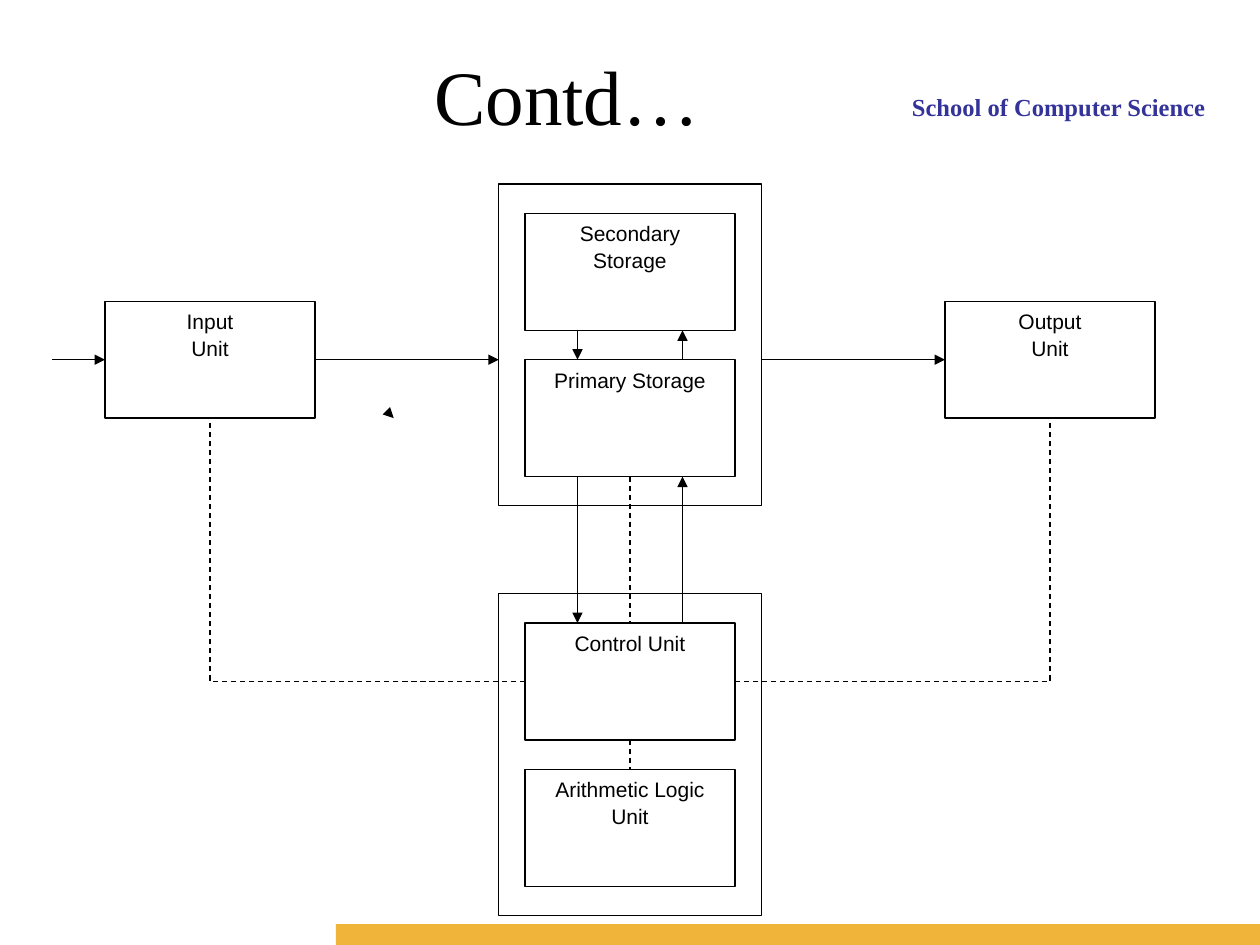
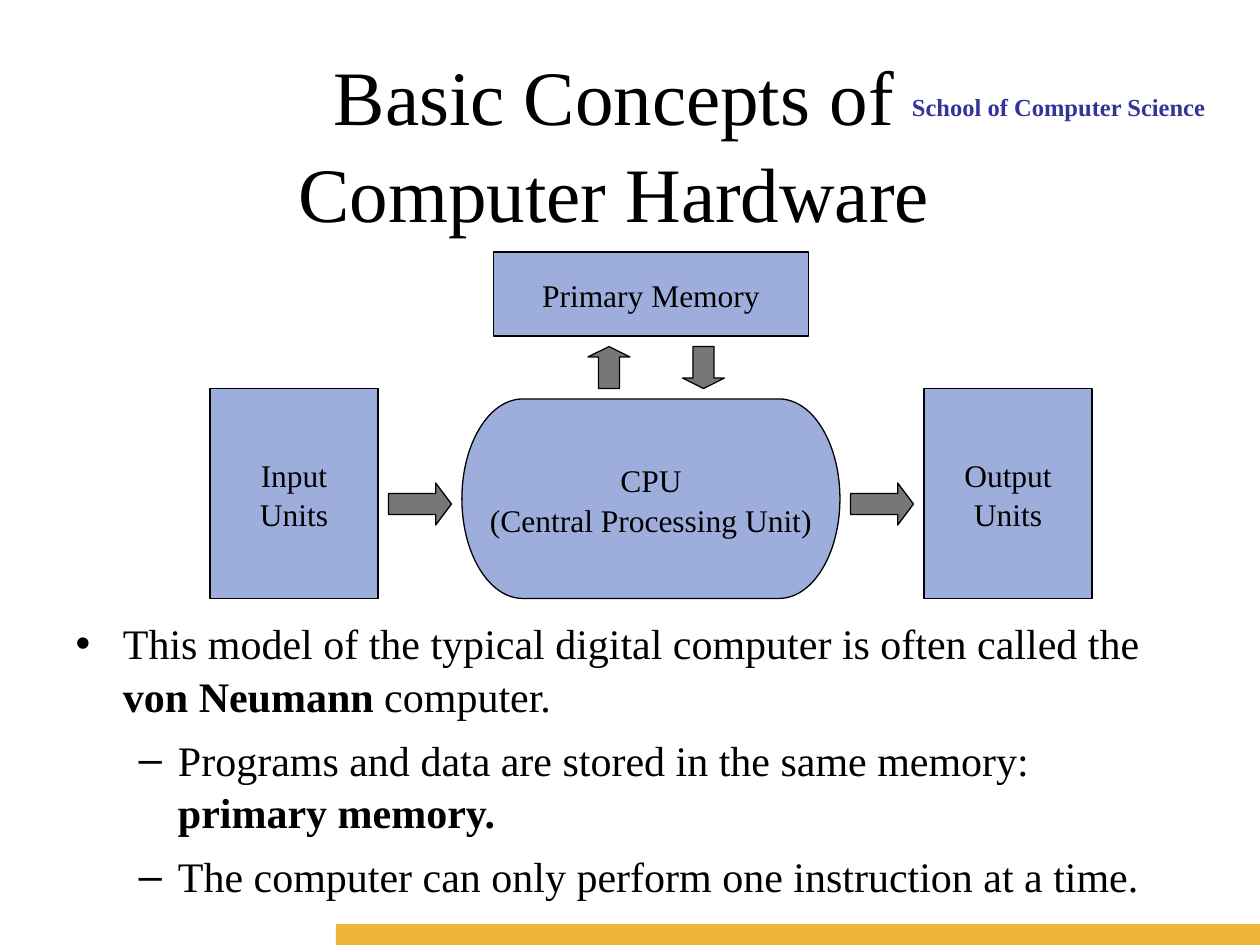
from dataclasses import dataclass
from typing import NamedTuple

from lxml.etree import SubElement
from pptx import Presentation
from pptx.dml.color import RGBColor
from pptx.enum.dml import MSO_LINE
from pptx.enum.shapes import MSO_CONNECTOR as Connector, MSO_SHAPE as Preset
from pptx.enum.text import MSO_ANCHOR as Anchor, MSO_AUTO_SIZE as AutoSize, PP_ALIGN as Align
from pptx.oxml.ns import qn
from pptx.util import Pt


@dataclass(frozen=True)
class Theme:
    black: RGBColor = RGBColor.from_string("000000")
    white: RGBColor = RGBColor.from_string("FFFFFF")
    navy: RGBColor = RGBColor.from_string("333399")
    amber: RGBColor = RGBColor.from_string("F1B43B")
    periwinkle: RGBColor = RGBColor.from_string("9EAEDC")
    gray: RGBColor = RGBColor.from_string("777777")
    serif: str = "Times New Roman"
    sans: str = "Arial"
    title_size: int = 44
    body_size: int = 24
    block_size: int = 18
    header_size: int = 14
    unit_size: int = 12
    line_width: float = 0.75
    line_spacing: float = 1.05


THEME = Theme()


class Box(NamedTuple):
    left: float
    top: float
    width: float
    height: float

    def lengths(self):
        return [Pt(value) for value in self]


class Grid(NamedTuple):
    left: float
    top: float
    column: float
    row: float

    def point(self, x, y):
        return self.left + x * self.column, self.top + y * self.row

    def box(self, x, y, width, height):
        return Box(*self.point(x, y), width * self.column, height * self.row)


def format_paragraph(paragraph, size, name=THEME.serif, color=THEME.black, align=Align.CENTER):
    paragraph.alignment = align
    paragraph.line_spacing = THEME.line_spacing
    font = paragraph.font
    font.size, font.name = Pt(size), name
    font.color.rgb = color


def add_block(slide, box, fill, preset=Preset.RECTANGLE, outlined=True):
    shape = slide.shapes.add_shape(preset, *box.lengths())
    shape.shadow.inherit = False
    shape.fill.solid()
    shape.fill.fore_color.rgb = fill
    if outlined:
        shape.line.color.rgb = THEME.black
        shape.line.width = Pt(THEME.line_width)
    else:
        shape.line.fill.background()
    return shape


def write_label(shape, text, size, name, anchor, wrap):
    frame = shape.text_frame
    frame.text = text
    frame.vertical_anchor = anchor
    frame.word_wrap = wrap
    for paragraph in frame.paragraphs:
        format_paragraph(paragraph, size, name)


def add_line(slide, start, end, arrow=False, kind=Connector.STRAIGHT):
    line = slide.shapes.add_connector(kind, *[Pt(value) for value in (*start, *end)])
    line.line.color.rgb = THEME.black
    line.line.width = Pt(THEME.line_width)
    properties = line.element.spPr
    if arrow:
        SubElement(properties.find(qn("a:ln")), qn("a:tailEnd"), type="triangle")
    else:
        line.line.dash_style = MSO_LINE.DASH
    SubElement(properties, qn("a:effectLst"))
    return line


def add_elbow(slide, source, source_site, target, target_site):
    elbow = add_line(slide, (0, 0), (0, 0), kind=Connector.ELBOW)
    elbow.begin_connect(source, source_site)
    elbow.end_connect(target, target_site)
    elbow.element.spPr.find(qn("a:prstGeom")).set("prst", "bentConnector2")


def add_master_band(presentation, slide):
    header = slide.shapes.add_textbox(*Box(486, 48, 210, 24).lengths())
    header.text_frame.word_wrap = True
    paragraph = header.text_frame.paragraphs[0]
    paragraph.text = "School of Computer Science"
    format_paragraph(paragraph, THEME.header_size, color=THEME.navy, align=Align.RIGHT)
    paragraph.font.bold = True
    band = add_block(slide, Box(192, 528, 528, 12), THEME.amber, outlined=False)
    for number, shape in enumerate((header, band), 101):
        shape.element.xpath(".//p:cNvPr")[0].set("id", str(number))
        presentation.slide_master.shapes.element.append(shape.element)


def place_placeholder(placeholder, box):
    placeholder.left, placeholder.top, placeholder.width, placeholder.height = box.lengths()
    frame = placeholder.text_frame
    frame.auto_size = AutoSize.NONE
    frame.word_wrap = True
    frame.vertical_anchor = Anchor.TOP
    return frame


def fill_title(slide, text, box):
    frame = place_placeholder(slide.shapes.title, box)
    frame.text = text
    format_paragraph(frame.paragraphs[0], THEME.title_size)


def fill_body(slide, items, box):
    levels = [("•", 27, 27), ("–", 58.5, 22.5)]
    frame = place_placeholder(slide.placeholders[1], box)
    for index, (level, runs) in enumerate(items):
        paragraph = frame.add_paragraph() if index else frame.paragraphs[0]
        mark, margin, hanging = levels[level]
        paragraph.level = level
        paragraph.space_before = Pt(6 if index else 0)
        paragraph.line_spacing = THEME.line_spacing
        properties = paragraph._p.get_or_add_pPr()
        properties.set("marL", str(Pt(margin)))
        properties.set("indent", str(-Pt(hanging)))
        SubElement(properties, qn("a:buChar"), char=mark)
        format_paragraph(paragraph, THEME.body_size, align=Align.LEFT)
        for text, bold in runs:
            run = paragraph.add_run()
            run.text = text
            run.font.bold = bold


def draw_architecture(slide, box):
    grid = Grid(box.left, box.top, box.width / 42, box.height / 25)
    for top in (0, 14):
        add_block(slide, grid.box(17, top, 10, 11), THEME.white)

    units = {}
    for text, x, y in [
        ("Secondary\nStorage", 18, 1),
        ("Primary Storage", 18, 6),
        ("Control Unit", 18, 15),
        ("Arithmetic Logic Unit", 18, 20),
        ("Input\nUnit", 2, 4),
        ("Output\nUnit", 34, 4),
    ]:
        unit = units[text] = add_block(slide, grid.box(x, y, 8, 4), THEME.white)
        write_label(unit, text, THEME.unit_size, THEME.sans, Anchor.TOP, True)

    for start, end in [
        ((0, 6), (2, 6)),
        ((10, 6), (17, 6)),
        ((27, 6), (34, 6)),
        ((20, 5), (20, 6)),
        ((24, 6), (24, 5)),
        ((20, 10), (20, 15)),
        ((24, 15), (24, 10)),
        ((12.99, 7.99), (13, 8)),
    ]:
        add_line(slide, grid.point(*start), grid.point(*end), arrow=True)
    for top, bottom in ((10, 15), (19, 20)):
        add_line(slide, grid.point(22, top), grid.point(22, bottom))

    left, bottom, right = 1, 2, 3
    control = units["Control Unit"]
    add_elbow(slide, control, left, units["Input\nUnit"], bottom)
    add_elbow(slide, control, right, units["Output\nUnit"], bottom)


def draw_von_neumann(slide, box):
    grid = Grid(box.left, box.top, box.width / 84, box.height / 33)
    for text, preset, cells in [
        ("CPU\n(Central Processing Unit)", Preset.FLOWCHART_TERMINATOR, (24, 14, 36, 19)),
        ("Input\nUnits", Preset.RECTANGLE, (0, 13, 16, 20)),
        ("Output\nUnits", Preset.RECTANGLE, (68, 13, 16, 20)),
        ("Primary Memory", Preset.RECTANGLE, (27, 0, 30, 8)),
    ]:
        block = add_block(slide, grid.box(*cells), THEME.periwinkle, preset)
        write_label(block, text, THEME.block_size, THEME.serif, Anchor.MIDDLE, False)

    for preset, head, cells in [
        (Preset.RIGHT_ARROW, 0.375, (17, 22, 6, 4)),
        (Preset.RIGHT_ARROW, 0.375, (61, 22, 6, 4)),
        (Preset.UP_ARROW, 0.25, (36, 9, 4, 4)),
        (Preset.DOWN_ARROW, 0.25, (45, 9, 4, 4)),
    ]:
        arrow = add_block(slide, grid.box(*cells), THEME.gray, preset)
        arrow.adjustments[0], arrow.adjustments[1] = 0.5, head


def main():
    presentation = Presentation()
    presentation.slide_width, presentation.slide_height = Pt(720), Pt(540)
    layouts = presentation.slide_layouts

    architecture = presentation.slides.add_slide(layouts.get_by_name("Title Only"))
    add_master_band(presentation, architecture)
    fill_title(architecture, "Contd…", Box(0, 21.6, 648, 90))
    draw_architecture(architecture, Box(30, 105.2, 630, 418))

    concepts = presentation.slides.add_slide(layouts.get_by_name("Title and Content"))
    fill_title(concepts, "Basic Concepts of\vComputer Hardware", Box(36, 21.6, 630, 90))
    draw_von_neumann(concepts, Box(120, 144, 504, 198))
    fill_body(concepts, [
        (0, [("This model of the typical digital computer is often called the ", False),
             ("von Neumann", True), (" computer.", False)]),
        (1, [("Programs and data are stored in the same memory: ", False),
             ("primary memory.", True)]),
        (1, [("The computer can only perform one instruction at a time.", False)]),
    ], Box(36, 348, 648, 172))

    presentation.save("out.pptx")


if __name__ == "__main__":
    main()
